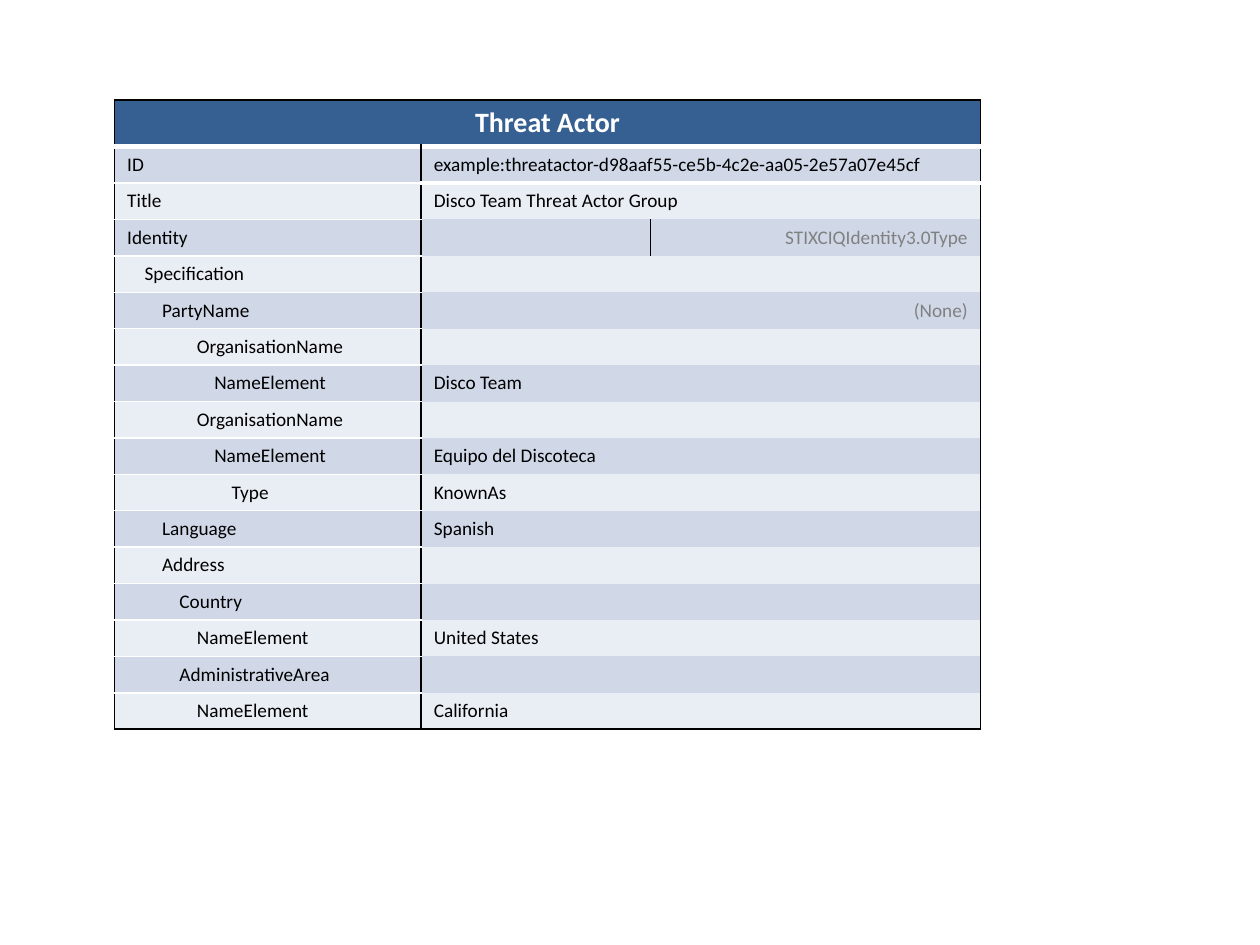
from lxml import etree
from pptx import Presentation
from pptx.dml.color import RGBColor
from pptx.enum.text import MSO_ANCHOR, PP_ALIGN
from pptx.oxml.ns import qn
from pptx.util import Pt

LEFT, CENTER, RIGHT = PP_ALIGN.LEFT, PP_ALIGN.CENTER, PP_ALIGN.RIGHT
TOP = MSO_ANCHOR.TOP
BLACK, WHITE, GRAY, NAVY = "000000", "FFFFFF", "808080", "376092"
BANDS = ["D0D8E8", "E9EDF4"]
NO_STYLE = "{2D5ABB26-0587-4C30-8999-92F81FD0307C}"
HEADER_HEIGHT, ROW_HEIGHT, INDENT, MARGIN = 26.7, 20.8, 9.95, 7.2
BODY = {"size": Pt(11), "name": "Calibri", "bold": False}
HEADING = {"size": Pt(16), "name": "Calibri", "bold": True}

fields = [
    (0, "ID", "example:threatactor-d98aaf55-ce5b-4c2e-aa05-2e57a07e45cf"),
    (0, "Title", "Disco Team Threat Actor Group"),
    (0, "Identity", "STIXCIQIdentity3.0Type"),
    (1, "Specification", ""),
    (2, "PartyName", "(None)"),
    (4, "OrganisationName", ""),
    (5, "NameElement", "Disco Team"),
    (4, "OrganisationName", ""),
    (5, "NameElement", "Equipo del Discoteca"),
    (6, "Type", "KnownAs"),
    (2, "Language", "Spanish"),
    (2, "Address", ""),
    (3, "Country", ""),
    (4, "NameElement", "United States"),
    (3, "AdministrativeArea", ""),
    (4, "NameElement", "California"),
]
type_notes = {"STIXCIQIdentity3.0Type", "(None)"}


def color(value):
    return RGBColor.from_string(value)


def fill_cell(cell, text, fill, borders, font=BODY, ink=BLACK, align=LEFT, level=0):
    properties = cell._tc.get_or_add_tcPr()
    for side in "LRTB":
        if side in borders:
            ink_color, width = borders[side]
            line = etree.SubElement(properties, qn("a:ln" + side), w=str(Pt(width)))
            solid = etree.SubElement(line, qn("a:solidFill"))
            etree.SubElement(solid, qn("a:srgbClr"), val=ink_color)
    cell.fill.solid()
    cell.fill.fore_color.rgb = color(fill)
    cell.vertical_anchor = TOP
    cell.margin_left = Pt(MARGIN + level * INDENT)
    para = cell.text_frame.paragraphs[0]
    para.alignment = align
    if text:
        span = para.add_run()
        span.text = text
        for name, value in font.items():
            setattr(span.font, name, value)
        span.font.color.rgb = color(ink)
    else:
        etree.SubElement(para._p, qn("a:endParaRPr"), sz=str(int(font["size"].pt * 100)))


deck = Presentation()
deck.slide_width, deck.slide_height = Pt(720), Pt(540)
page = deck.slides.add_slide(deck.slide_layouts[6])

widths = [175.2, 131, 188.6]
height = HEADER_HEIGHT + len(fields) * ROW_HEIGHT
frame = page.shapes.add_table(len(fields) + 1, len(widths), Pt(65.5), Pt(57),
                              Pt(sum(widths)), Pt(height))
table = frame.table
table.first_row = table.horz_banding = False
table._tbl.tblPr.find(qn("a:tableStyleId")).text = NO_STYLE
for column, width in zip(table.columns, widths):
    column.width = Pt(width)
for index, row in enumerate(table.rows):
    row.height = Pt(ROW_HEIGHT if index else HEADER_HEIGHT)

edge, rule, heavy = (BLACK, 1), (WHITE, 1), (WHITE, 3)
sides = {"L": edge, "R": edge}
table.cell(0, 0).merge(table.cell(0, 2))
fill_cell(table.cell(0, 0), "Threat Actor", NAVY, {**sides, "T": edge, "B": heavy},
          HEADING, WHITE, CENTER)
for column in (1, 2):
    fill_cell(table.cell(0, column), "", NAVY, {"T": edge, "B": heavy})

for index, (level, label, value) in enumerate(fields, 1):
    fill = BANDS[(index - 1) % 2]
    top = {"T": heavy} if index == 1 else {}
    bottom = {"B": edge} if index == len(fields) else {}
    label_cell, middle, last = table.rows[index].cells
    fill_cell(label_cell, label, fill, {**sides, "T": rule, "B": rule, **top, **bottom},
              level=level)
    ink, align = (GRAY, RIGHT) if value in type_notes else (BLACK, LEFT)
    if label == "Identity":
        fill_cell(middle, "", fill, {"L": edge})
        fill_cell(last, value, fill, {"R": edge}, ink=ink, align=align)
    else:
        middle.merge(last)
        fill_cell(middle, value, fill, {**sides, **top, **bottom}, ink=ink, align=align)
        fill_cell(last, "", fill, {"R": edge, **top, **bottom})

deck.save("out.pptx")
